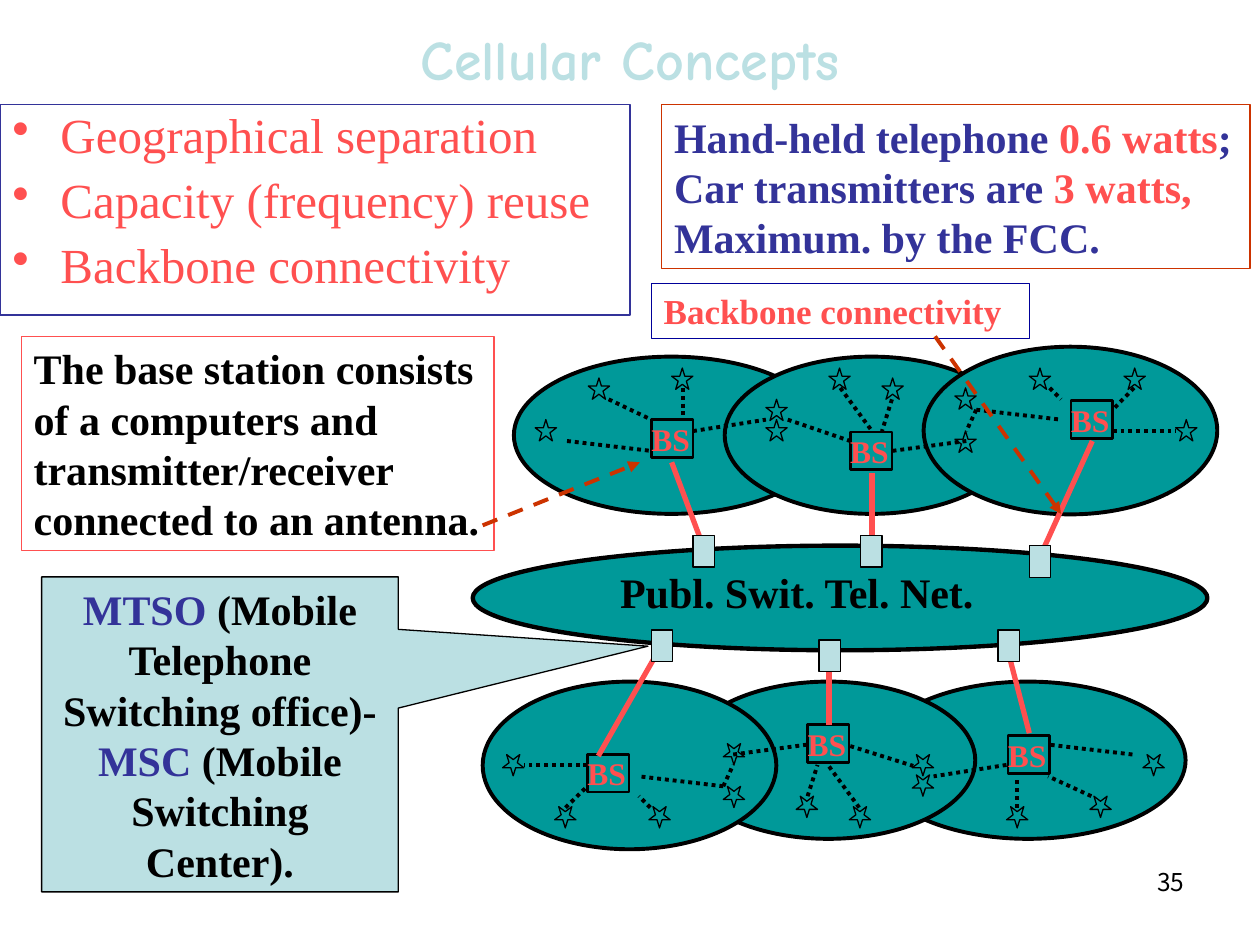
import pptx
import pptx.dml.color
import pptx.enum.dml
import pptx.enum.shapes
import pptx.enum.text
import pptx.oxml
import pptx.oxml.ns
import pptx.util

COLORS = {"teal": "009999", "pale": "BBE0E3", "coral": "FF5050", "navy": "333399",
          "blue": "000099", "rust": "CC3300", "black": "000000"}
SERIF = "Times New Roman"
FORMATS = {
    "title": {"name": "Comic Neue", "size": pptx.util.Pt(32), "bold": True},
    "bullet": {"name": SERIF, "size": pptx.util.Pt(28)},
    "body": {"name": SERIF, "size": pptx.util.Pt(24), "bold": True},
    "label": {"name": SERIF, "size": pptx.util.Pt(20), "bold": True},
    "station": {"name": SERIF, "size": pptx.util.Pt(18), "bold": True},
    "number": {"name": "Noto Sans CJK KR", "size": pptx.util.Pt(14)},
}
KINDS = pptx.enum.shapes.MSO_SHAPE
ALIGN = pptx.enum.text.PP_ALIGN
ANCHOR = pptx.enum.text.MSO_ANCHOR
DASH = pptx.enum.dml.MSO_LINE
TURN_X, TURN_Y = 13.49, 9.49

CELLS = [(4.08, 2.83, 2.5, 1.25), (5.75, 2.83, 2.33, 1.25), (7.33, 2.75, 2.33, 1.33)]
PHONES = [(6.08, 3.17), (6.08, 3.33), (6.58, 2.92), (7, 3), (7.58, 3.08), (7.58, 3.42),
          (8.17, 2.92), (9.33, 3.33), (8.92, 2.92), (4.25, 3.33), (4.67, 3), (5.33, 2.92)]
RADIO_LINKS = [
    (4.5, 3.5, 5.17, 3.58), (4.83, 3.17, 5.17, 3.33), (5.42, 3.08, 5.42, 3.33),
    (5.5, 3.42, 6.08, 3.33), (6.67, 3.08, 6.92, 3.42), (7.08, 3.17, 7, 3.42),
    (7.67, 3.5, 7.08, 3.58), (7.75, 3.25, 7.67, 3.42), (8.33, 3.08, 8.42, 3.17),
    (9, 3.08, 8.83, 3.25), (8.83, 3.42, 9.33, 3.42), (7.75, 3.25, 8.42, 3.33)]
SHARED_LINKS = [(6.25, 3.33, 6.75, 3.5), (6.75, 5.92, 7.25, 6.08)]
STATIONS = [(5.17, 3.33), (6.75, 3.43), (8.5, 3.18), (8, 5.84), (6.41, 5.75), (4.66, 5.99)]
TRUNKS = [(5.33, 3.67, 5.58, 4.33), (6.92, 3.75, 6.92, 4.33), (8.67, 3.5, 8.25, 4.42),
          (4.75, 6, 5.25, 5.12), (6.58, 5.75, 6.58, 5.17), (8.17, 5.82, 8, 5.17)]
SWITCHES = [(5.17, 5), (6.83, 4.25), (5.5, 4.25), (7.92, 5), (6.5, 5.08), (8.17, 4.33)]
POINTERS = [(3.83, 4.17, 5.08, 3.67), (7.42, 2.67, 8.42, 4.08)]


def lengths(inches):
    return [pptx.util.Cm(round(value * 2.54, 2)) for value in inches]


def rgb(color):
    return pptx.dml.color.RGBColor.from_string(COLORS[color])


def turn_box(left, top, width, height):
    return TURN_X - left - width, TURN_Y - top - height, width, height


def turn_line(x1, y1, x2, y2):
    return TURN_X - x1, TURN_Y - y1, TURN_X - x2, TURN_Y - y2


def add_box(page, kind, place, fill=None, line=None, weight=0.75, rotation=0):
    box = page.shapes.add_shape(kind, *lengths(place))
    box.shadow.inherit = False
    box.rotation = rotation
    if fill:
        box.fill.solid()
        box.fill.fore_color.rgb = rgb(fill)
    else:
        box.fill.background()
    if line:
        box.line.color.rgb = rgb(line)
        box.line.width = pptx.util.Pt(weight)
    else:
        box.line.fill.background()
    return box


def add_line(page, place, color, weight, dash=None, arrow=False):
    line = page.shapes.add_connector(pptx.enum.shapes.MSO_CONNECTOR.STRAIGHT, *lengths(place))
    line.line.color.rgb = rgb(color)
    line.line.width = pptx.util.Pt(weight)
    if dash:
        line.line.dash_style = dash
    if arrow:
        outline = line.line._get_or_add_ln()
        outline.append(pptx.oxml.parse_xml(
            f'<a:tailEnd {pptx.oxml.ns.nsdecls("a")} type="triangle"/>'))
    line._element.spPr.append(pptx.oxml.parse_xml(
        f'<a:effectLst {pptx.oxml.ns.nsdecls("a")}/>'))


def prepare_frame(box, anchor=ANCHOR.TOP, inset=(0.1, 0.05)):
    frame = box.text_frame
    across, down = lengths(inset)
    values = {"word_wrap": True, "vertical_anchor": anchor, "margin_left": across,
              "margin_right": across, "margin_top": down, "margin_bottom": down}
    for name, value in values.items():
        setattr(frame, name, value)
    return frame


def write_spans(para, style, spans, align=ALIGN.LEFT):
    para.alignment = align
    for text, color in spans:
        span = para.add_run()
        span.text = text
        for name, value in FORMATS[style].items():
            setattr(span.font, name, value)
        span.font.color.rgb = rgb(color)


def write_text(box, style, spans, align=ALIGN.LEFT, **layout):
    write_spans(prepare_frame(box, **layout).paragraphs[0], style, spans, align)


def add_text(page, place, style, spans, align, **layout):
    box = page.shapes.add_textbox(*lengths(place))
    write_text(box, style, spans, align, **layout)


def add_bullets(page, place, items):
    frame = prepare_frame(add_box(page, KINDS.RECTANGLE, place, line="navy"))
    space = pptx.oxml.ns.nsdecls("a")
    indent = lengths([0.38])[0]
    for index, item in enumerate(items):
        para = frame.add_paragraph() if index else frame.paragraphs[0]
        para.line_spacing = 0.9
        para.space_before = pptx.util.Pt(7 if index else 0)
        settings = para._p.get_or_add_pPr()
        settings.set("marL", str(indent))
        settings.set("indent", str(-indent))
        settings.append(pptx.oxml.parse_xml(
            f'<a:buClr {space}><a:srgbClr val="{COLORS["coral"]}"/></a:buClr>'))
        settings.append(pptx.oxml.parse_xml(f'<a:buChar {space} char="•"/>'))
        write_spans(para, "bullet", [(item, "coral")])


def add_network(page):
    add_box(page, KINDS.OVAL, (3.75, 4.33, 5.83, 0.83), "teal", "black", 2.5)
    for cell in CELLS:
        add_box(page, KINDS.OVAL, cell, "teal", "black", 2.25)
    for cell in CELLS:
        add_box(page, KINDS.OVAL, turn_box(*cell), "teal", "black", 2.25, 180)
    for station in STATIONS:
        box = add_box(page, KINDS.RECTANGLE, (*station, 0.33, 0.3), "teal", "black", 1.5)
        write_text(box, "station", [("BS", "coral")], inset=(0, 0))
    for left, top in PHONES:
        place = (left, top, 0.17, 0.17)
        add_box(page, KINDS.STAR_5_POINT, place, "teal", "black")
        add_box(page, KINDS.STAR_5_POINT, turn_box(*place), "teal", "black", rotation=180)
    for link in RADIO_LINKS + [turn_line(*link) for link in RADIO_LINKS] + SHARED_LINKS:
        add_line(page, link, "black", 2.25, DASH.ROUND_DOT)
    network = add_box(page, KINDS.RECTANGLE, (4.92, 4.5, 3.25, 0.4), "teal")
    write_text(network, "body", [("Publ. Swit. Tel. Net.", "black")], inset=(0, 0))
    for trunk in TRUNKS:
        add_line(page, trunk, "coral", 3)
    for switch in SWITCHES:
        add_box(page, KINDS.RECTANGLE, (*switch, 0.17, 0.25), "pale", "black")


def add_notes(page):
    callout = add_box(page, KINDS.RECTANGULAR_CALLOUT, (0.33, 4.58, 2.83, 2.5), "pale", "black")
    callout.adjustments[0] = 1.2
    callout.adjustments[1] = -0.28
    write_text(callout, "body", [
        ("MTSO", "navy"), (" (Mobile Telephone Switching office)-", "black"),
        (" MSC", "navy"), (" (Mobile Switching Center).", "black")], ALIGN.CENTER)
    notes = [
        ((5.25, 0.83, 4.67, 1.3), "rust", "body", [
            ("Hand-held telephone ", "navy"), ("0.6 watts", "coral"),
            ("; Car transmitters are ", "navy"), ("3 watts,", "coral"),
            (" Maximum. by the FCC.", "navy")]),
        ((0.17, 2.67, 3.75, 1.7), "coral", "body", [
            ("The base station consists of a computers and transmitter/receiver "
             "connected to an antenna.", "black")]),
        ((5.17, 2.25, 3, 0.44), "blue", "label", [("Backbone connectivity", "coral")]),
    ]
    for place, line, style, spans in notes:
        write_text(add_box(page, KINDS.RECTANGLE, place, line=line), style, spans)
    for pointer in POINTERS:
        add_line(page, pointer, "rust", 2.25, DASH.DASH, arrow=True)


def main():
    deck = pptx.Presentation()
    deck.slide_width, deck.slide_height = lengths((10, 7.5))
    page = deck.slides.add_slide(deck.slide_layouts[6])
    add_text(page, (0.75, 0.17, 8.5, 0.58), "title", [("Cellular Concepts", "pale")],
             ALIGN.CENTER, anchor=ANCHOR.MIDDLE)
    add_bullets(page, (0, 0.83, 5, 1.67), [
        "Geographical separation", "Capacity (frequency) reuse", "Backbone connectivity"])
    add_network(page)
    add_notes(page)
    add_text(page, (7.17, 6.83, 2.33, 0.52), "number", [("35", "black")], ALIGN.RIGHT)
    deck.save("out.pptx")


if __name__ == "__main__":
    main()
